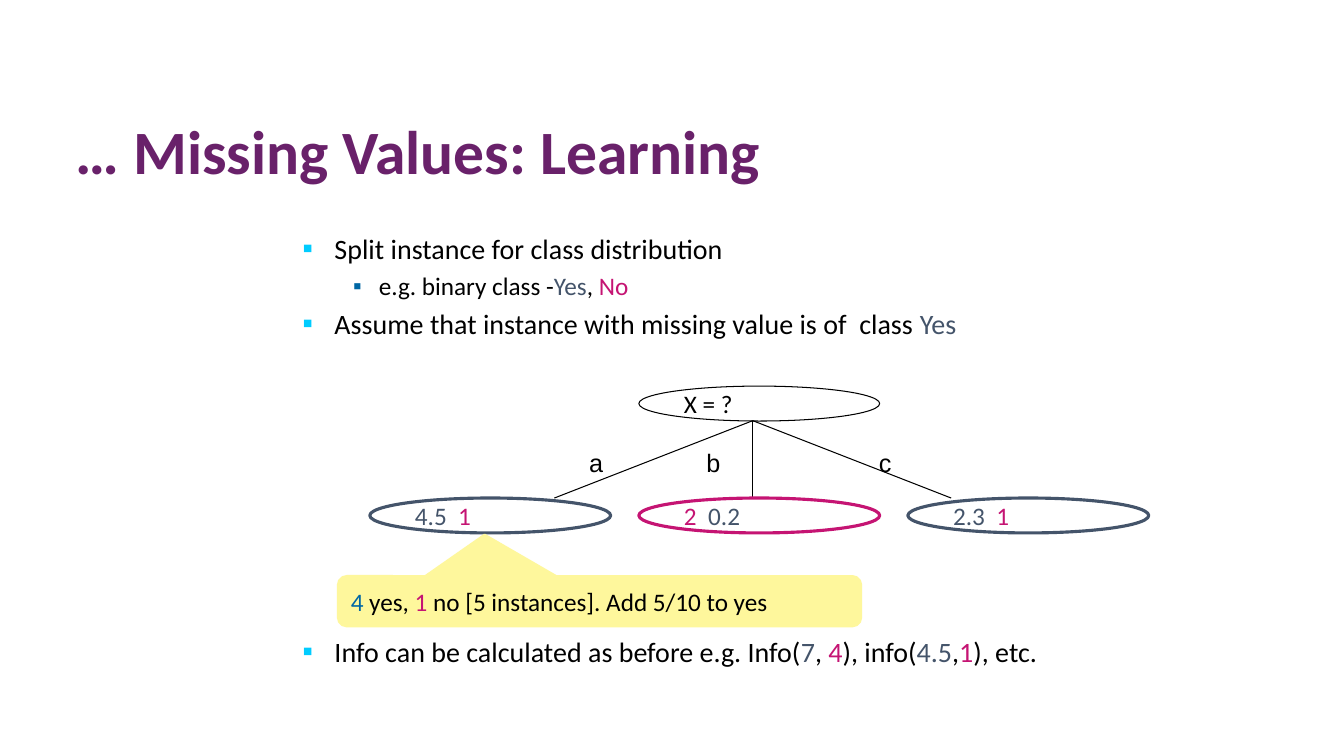
from dataclasses import dataclass

from lxml.etree import SubElement
from pptx import Presentation
from pptx.dml.color import RGBColor
from pptx.enum.shapes import MSO_CONNECTOR, MSO_SHAPE
from pptx.enum.text import MSO_ANCHOR as Anchor, PP_ALIGN as Align
from pptx.oxml.ns import qn
from pptx.util import Cm, Pt


@dataclass(frozen=True)
class Theme:
    black: str = "000000"
    yes: str = "44546A"
    no: str = "C51473"
    blue: str = "0067A4"
    cyan: str = "00CCFF"
    purple: str = "69216A"
    yellow: str = "FEF79C"
    body_font: str = "Calibri"
    label_font: str = "Arial"
    title_size: int = 44
    bullet_size: int = 20
    small_size: int = 18
    thin: float = 0.75
    thick: float = 2.25


THEME = Theme()
TITLE_ONLY = 5

# Bullet level: left margin, hanging indent (cm), mark colour, mark percent, text size
LEVELS = (
    (2.06, 0.79, THEME.cyan, 55, THEME.bullet_size),
    (3.18, 0.64, THEME.blue, 50, THEME.small_size),
)


def rgb(value):
    return RGBColor.from_string(value)


def write(paragraph, *runs, size=THEME.small_size, font=THEME.body_font, bold=False):
    """Add (text, colour) runs to a left-aligned paragraph."""
    paragraph.alignment = Align.LEFT
    for text, color in runs:
        run = paragraph.add_run()
        run.text = text
        run.font.name = font
        run.font.size = Pt(size)
        run.font.bold = bold
        run.font.color.rgb = rgb(color)


def add_title(slide, text):
    title = slide.shapes.title
    title.left, title.top, title.width, title.height = Cm(1.65), Cm(2.84), Cm(29.21), Cm(2.11)
    title.text_frame.vertical_anchor = Anchor.MIDDLE
    heading = title.text_frame.paragraphs[0]
    heading.line_spacing = 0.9
    write(heading, (text, THEME.purple), size=THEME.title_size, bold=True)


def add_text_box(slide, left, top, width, height, wrap=True):
    frame = slide.shapes.add_textbox(Cm(left), Cm(top), Cm(width), Cm(height)).text_frame
    frame.word_wrap = wrap
    return frame


def set_bullet(paragraph, margin, hang, color, percent):
    props = paragraph._p.get_or_add_pPr()
    props.set("marL", str(Cm(margin)))
    props.set("indent", str(-Cm(hang)))
    SubElement(SubElement(props, qn("a:buClr")), qn("a:srgbClr"), val=color)
    SubElement(props, qn("a:buSzPct"), val=str(percent * 1000))
    SubElement(props, qn("a:buFont"), typeface=THEME.label_font)
    SubElement(props, qn("a:buChar"), char="■")


def add_bullets(slide, top, height, items):
    """Write (level, runs) items as one bulleted list."""
    frame = add_text_box(slide, 6.12, top, 23.5, height)
    for index, (level, runs) in enumerate(items):
        paragraph = frame.add_paragraph() if index else frame.paragraphs[0]
        margin, hang, color, percent, size = LEVELS[level]
        paragraph.level = level
        set_bullet(paragraph, margin, hang, color, percent)
        if index:
            paragraph.space_before = Pt(size * 0.2)
        write(paragraph, *runs, size=size)


def add_shape(slide, kind, left, top, width, height, runs, line, line_width, fill=None, wrap=False):
    shape = slide.shapes.add_shape(kind, Cm(left), Cm(top), Cm(width), Cm(height))
    shape.shadow.inherit = False
    if fill:
        shape.fill.solid()
        shape.fill.fore_color.rgb = rgb(fill)
    else:
        shape.fill.background()
    shape.line.color.rgb = rgb(line)
    shape.line.width = Pt(line_width)
    frame = shape.text_frame
    frame.word_wrap = wrap
    frame.vertical_anchor = Anchor.MIDDLE
    write(frame.paragraphs[0], *runs)
    return shape


def add_node(slide, left, top, runs, line, line_width):
    add_shape(slide, MSO_SHAPE.OVAL, left, top, 6.07, 0.88, runs, line, line_width)


def add_branch(slide, start_x, start_y, end_x, end_y):
    branch = slide.shapes.add_connector(
        MSO_CONNECTOR.STRAIGHT, Cm(start_x), Cm(start_y), Cm(end_x), Cm(end_y))
    branch.line.color.rgb = rgb(THEME.black)
    branch.line.width = Pt(THEME.thin)
    SubElement(branch._element.spPr, qn("a:effectLst"))


def add_tree(slide):
    first_left, pitch, root_top, leaf_top = 9.32, 6.78, 9.73, 12.55
    fork_x, fork_y, spread = 18.97, 10.6, 5

    add_node(slide, first_left + pitch, root_top, [("X = ?", THEME.black)],
             THEME.black, THEME.thin)
    for side in (-1, 1, 0):
        add_branch(slide, fork_x, fork_y, fork_x + side * spread, leaf_top)
    for label, left in (("a", 14.6), ("b", 17.55), ("c", 21.9)):
        frame = add_text_box(slide, left, 11.15, 0.86, 1.02, wrap=False)
        write(frame.paragraphs[0], (label, THEME.black), font=THEME.label_font)

    leaves = (
        (("4.5  ", THEME.yes), ("1", THEME.no)),
        (("2  ", THEME.no), ("0.2", THEME.yes)),
        (("2.3  ", THEME.yes), ("1", THEME.no)),
    )
    for column, runs in enumerate(leaves):
        majority = runs[0][1]
        add_node(slide, first_left + column * pitch, leaf_top, runs, majority, THEME.thick)


def add_callout(slide, runs):
    callout = add_shape(slide, MSO_SHAPE.ROUNDED_RECTANGULAR_CALLOUT, 8.53, 14.53, 13.16, 1.24,
                        runs, THEME.yellow, THEME.thick, fill=THEME.yellow, wrap=True)
    for index, value in enumerate((-0.22, -1.34, 0.17)):
        callout.adjustments[index] = value


def main():
    deck = Presentation()
    deck.slide_width, deck.slide_height = Cm(33.87), Cm(19.05)
    slide = deck.slides.add_slide(deck.slide_layouts[TITLE_ONLY])
    black, yes, no = THEME.black, THEME.yes, THEME.no

    add_title(slide, "… Missing Values: Learning")
    add_tree(slide)
    add_callout(slide, [("4 ", THEME.blue), ("yes, ", black), ("1", no),
                        (" no [5 instances]. Add 5/10 to yes", black)])
    add_bullets(slide, 5.72, 3.2, [
        (0, [("Split instance for class distribution", black)]),
        (1, [("e.g. binary class -", black), ("Yes", yes), (", ", black), ("No", no)]),
        (0, [("Assume that instance with missing value is of  class ", black), ("Yes", yes)]),
    ])
    add_bullets(slide, 15.87, 1.11, [
        (0, [("Info can be calculated as before e.g. Info(", black), ("7", yes), (",", black),
             (" 4", no), ("), info(", black), ("4.5", yes), (",", black), ("1", no),
             ("), etc.", black)]),
    ])
    deck.save("out.pptx")


if __name__ == "__main__":
    main()
